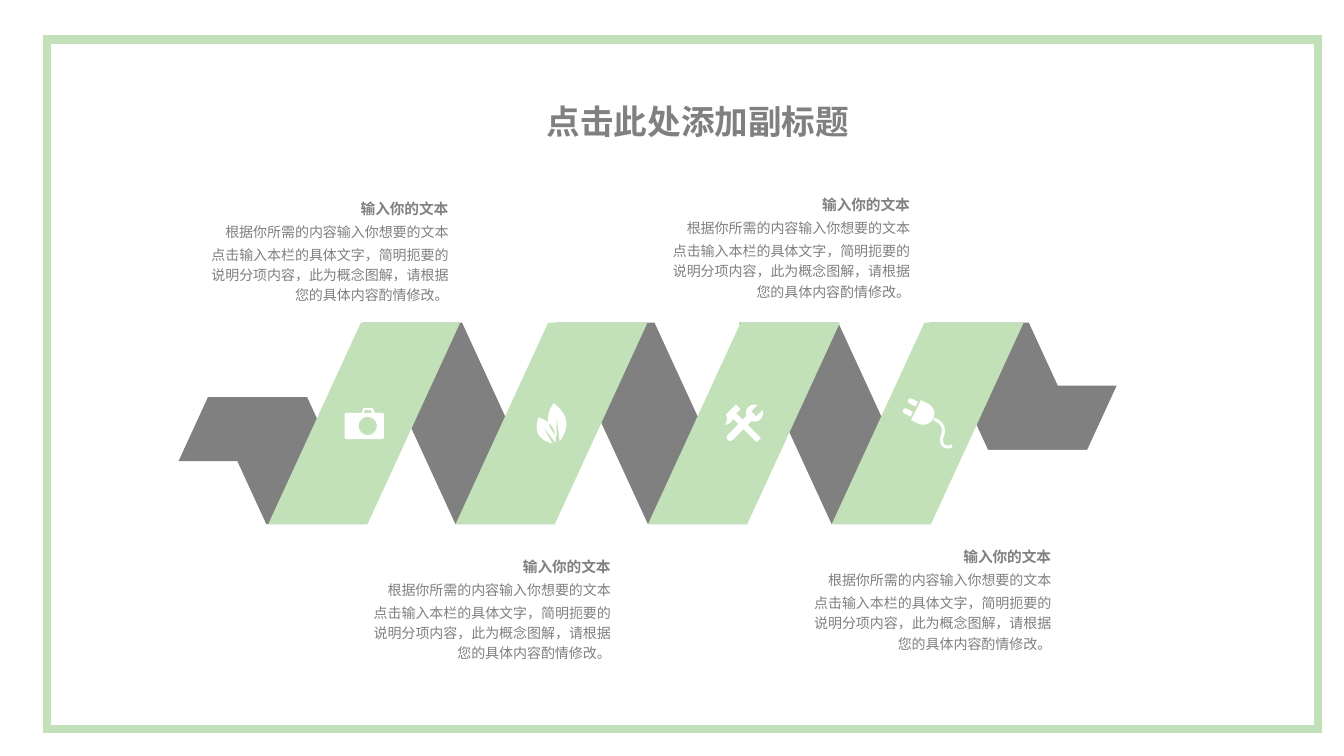
import dataclasses
import math
import pptx
import pptx.util
import pptx.dml.color
import pptx.enum.shapes
import pptx.enum.text
import pptx.oxml.ns
from lxml import etree

Cm, Pt = pptx.util.Cm, pptx.util.Pt
Align = pptx.enum.text.PP_ALIGN


@dataclasses.dataclass(frozen=True)
class Theme:
    green: str = "C2E1B8"
    gray: str = "808080"
    white: str = "FFFFFF"
    font: str = "Noto Sans CJK SC"
    title: float = 24
    head: float = 10.5
    body: float = 10


THEME = Theme()
UNIT = 0.0254
BAND = 2.5
SLOPE = 0.46
NOTE = [
    "输入你的文本",
    "根据你所需的内容输入你想要的文本",
    "点击输入本栏的具体文字，简明扼要的说明分项内容，此为概念图解，请根据您的具体内容酌情修改。",
]


def tint(code):
    return pptx.dml.color.RGBColor.from_string(code)


def arc(x, y, r, start, end, parts=16):
    turns = [math.radians(start + (end - start) * i / parts) for i in range(parts + 1)]
    return [(x + r * math.cos(t), y + r * math.sin(t)) for t in turns]


def bow(a, b, bulge, parts=12):
    dx, dy = b[0] - a[0], b[1] - a[1]
    size = math.hypot(dx, dy)
    steps = [i / parts for i in range(parts + 1)]
    lifts = [4 * bulge * t * (1 - t) / size for t in steps]
    return [(a[0] + dx * t - dy * k, a[1] + dy * t + dx * k) for t, k in zip(steps, lifts)]


def turn(loop, angle):
    c, s = math.cos(math.radians(angle)), math.sin(math.radians(angle))
    return [(x * c - y * s, x * s + y * c) for x, y in loop]


def cord(line, half):
    sides = [], []
    for i, (x, y) in enumerate(line):
        a, b = line[max(i - 1, 0)], line[min(i + 1, len(line) - 1)]
        dx, dy = b[0] - a[0], b[1] - a[1]
        k = half / math.hypot(dx, dy)
        sides[0].append((x - dy * k, y + dx * k))
        sides[1].append((x + dy * k, y - dx * k))
    return sides[0] + sides[1][::-1]


def camera():
    wide, top, base, r = 39, 5, 31, 2
    body = (arc(r, top + r, r, 180, 270) + arc(wide - r, top + r, r, 270, 360)
            + arc(wide - r, base - r, r, 0, 90) + arc(r, base - r, r, 90, 180))
    grip = [(17, top), (19, 0), (28, 0), (30, top)]
    hole = [(19, top), (20, 2), (26, 2), (27, top)]
    lens = arc(23, 18, 9, 0, 360, 40)
    return [[body, grip, hole, lens]]


def blade(tip, left, vein, right, near, far):
    return bow(tip, left, near) + [vein] + bow(right, tip, far)


def leaf():
    tall = blade((17, 0), (20, 33), (20, 12), (23, 38), 7, 9.5)
    low = blade((2, 14), (16, 40), (6, 23), (19, 39), 8, 6)
    return [[tall, low]]


def tools():
    jaw, grip = 8.5, 3.5
    wrench = (arc(0, -16, jaw, -65, 65) + arc(0, 18, grip, 0, 180)
              + arc(0, -16, jaw, 115, 245) + [(-grip, -15), (grip, -15)])
    neck, claw, crown = (-3, -11), (-13, -12.5), (-5, -19)
    hammer = ([(3, 22), (-3, 22)] + bow(neck, claw, -1.5) + bow(claw, crown, 1.5)
              + [(9, -19), (9, -12.5), (3, -12.5)])
    return [[turn(wrench, 45)], [turn(hammer, -45)]]


def plug():
    tilt, r, pin = 26.6, 11, 2.6
    body = [(0, r), (0, -r)] + arc(8, 0, r, -90, 90)
    pins = [arc(-9, y, pin, 90, 270) + [(-2, y - pin), (-2, y + pin)] for y in (-5.6, 5.6)]
    start, mid, end = (20, 0), (35, 13), (48, 16)
    wire = cord(bow(start, mid, -5) + bow(mid, end, 5)[1:], 1.5)
    return [[turn(loop, tilt) for loop in [body, wire] + pins]]


STRIPES = ((2.26, camera), (6.98, leaf), (11.83, tools), (16.46, plug))


def draw(slide, loops, color):
    loops = [[(Cm(x), Cm(y)) for x, y in loop] for loop in loops]
    pen = slide.shapes.build_freeform(*loops[0][0])
    pen.add_line_segments(loops[0][1:])
    for loop in loops[1:]:
        pen.move_to(*loop[0])
        pen.add_line_segments(loop[1:])
    shape = pen.convert_to_shape()
    shape.shadow.inherit = False
    shape.fill.solid()
    shape.fill.fore_color.rgb = tint(color)
    shape.line.fill.background()


def slab(slide, x, y, h, side, color):
    lean = side * h * SLOPE
    draw(slide, [[(x, y), (x + BAND, y), (x + BAND + lean, y + h), (x + lean, y + h)]], color)


def icon(slide, x, y, parts):
    points = [point for loops in parts for loop in loops for point in loop]
    mid = [(min(axis) + max(axis)) / 2 for axis in zip(*points)]
    for loops in parts:
        draw(slide, [[(x + (u - mid[0]) * UNIT, y + (v - mid[1]) * UNIT) for u, v in loop]
                     for loop in loops], THEME.white)


def ribbon(slide, box):
    x, y, w, h = box
    flap, drop = 1.61, 3.2
    slant, fold, lean = flap * SLOPE, drop * SLOPE, h * SLOPE
    left, right = x + slant, x + w - BAND
    slab(slide, left, y + h - drop, flap, -1, THEME.gray)
    slab(slide, left, y + h - drop, drop, 1, THEME.gray)
    slab(slide, right, y + drop - flap, flap, -1, THEME.gray)
    slab(slide, right - slant - fold, y, drop, 1, THEME.gray)
    for foot, _ in STRIPES[1:]:
        slab(slide, x + foot - lean, y, h, 1, THEME.gray)
    for foot, _ in STRIPES:
        slab(slide, x + foot + lean, y, h, -1, THEME.green)
    for foot, make in STRIPES:
        icon(slide, x + foot + (lean + BAND) / 2, y + h / 2, make())


def write(para, text, size, bold=False, align=Align.LEFT, space=1.0, before=0):
    para.alignment = align
    para.line_spacing = space
    para.space_before = Pt(before)
    run = para.add_run()
    run.text = text
    run.font.name = THEME.font
    run.font.size = Pt(size)
    run.font.bold = bold
    run.font.color.rgb = tint(THEME.gray)
    east = etree.SubElement(run.font._element, pptx.oxml.ns.qn("a:ea"))
    east.set("typeface", THEME.font)


def panel(slide, box, wrap):
    frame = slide.shapes.add_textbox(*map(Cm, box)).text_frame
    frame.word_wrap = wrap
    frame.auto_size = pptx.enum.text.MSO_AUTO_SIZE.SHAPE_TO_FIT_TEXT
    return frame


def border(slide, box):
    shape = slide.shapes.add_shape(pptx.enum.shapes.MSO_SHAPE.RECTANGLE, *map(Cm, box))
    shape.shadow.inherit = False
    shape.fill.solid()
    shape.fill.fore_color.rgb = tint(THEME.white)
    shape.line.color.rgb = tint(THEME.green)
    shape.line.width = Pt(6)
    edge = shape.line._get_or_add_ln()
    etree.SubElement(edge, pptx.oxml.ns.qn("a:miter")).set("lim", "800000")


def title(slide, box):
    frame = panel(slide, box, False)
    write(frame.paragraphs[0], "点击此处添加副标题", THEME.title, bold=True, space=1.1)


def note(slide, box):
    frame = panel(slide, box, True)
    frame.margin_left = frame.margin_right = Cm(0.3)
    frame.margin_top = frame.margin_bottom = Cm(0.15)
    for index, text in enumerate(NOTE):
        para = frame.add_paragraph() if index else frame.paragraphs[0]
        size = THEME.body if index else THEME.head
        write(para, text, size, bold=not index, align=Align.RIGHT, space=1.2, before=size * 0.2)


def main():
    deck = pptx.Presentation()
    deck.slide_width, deck.slide_height = Cm(33.87), Cm(19.05)
    slide = deck.slides.add_slide(deck.slide_layouts[6])
    border(slide, (1.19, 1, 32.03, 17.37))
    ribbon(slide, (4.5, 8.13, 23.64, 5.08))
    title(slide, (13.53, 2.31, 8.2, 1.3))
    for x, y in ((4.69, 4.79), (8.78, 13.82), (16.32, 4.7), (19.88, 13.57)):
        note(slide, (x, y, 6.91, 3.07))
    deck.save("out.pptx")


if __name__ == "__main__":
    main()
